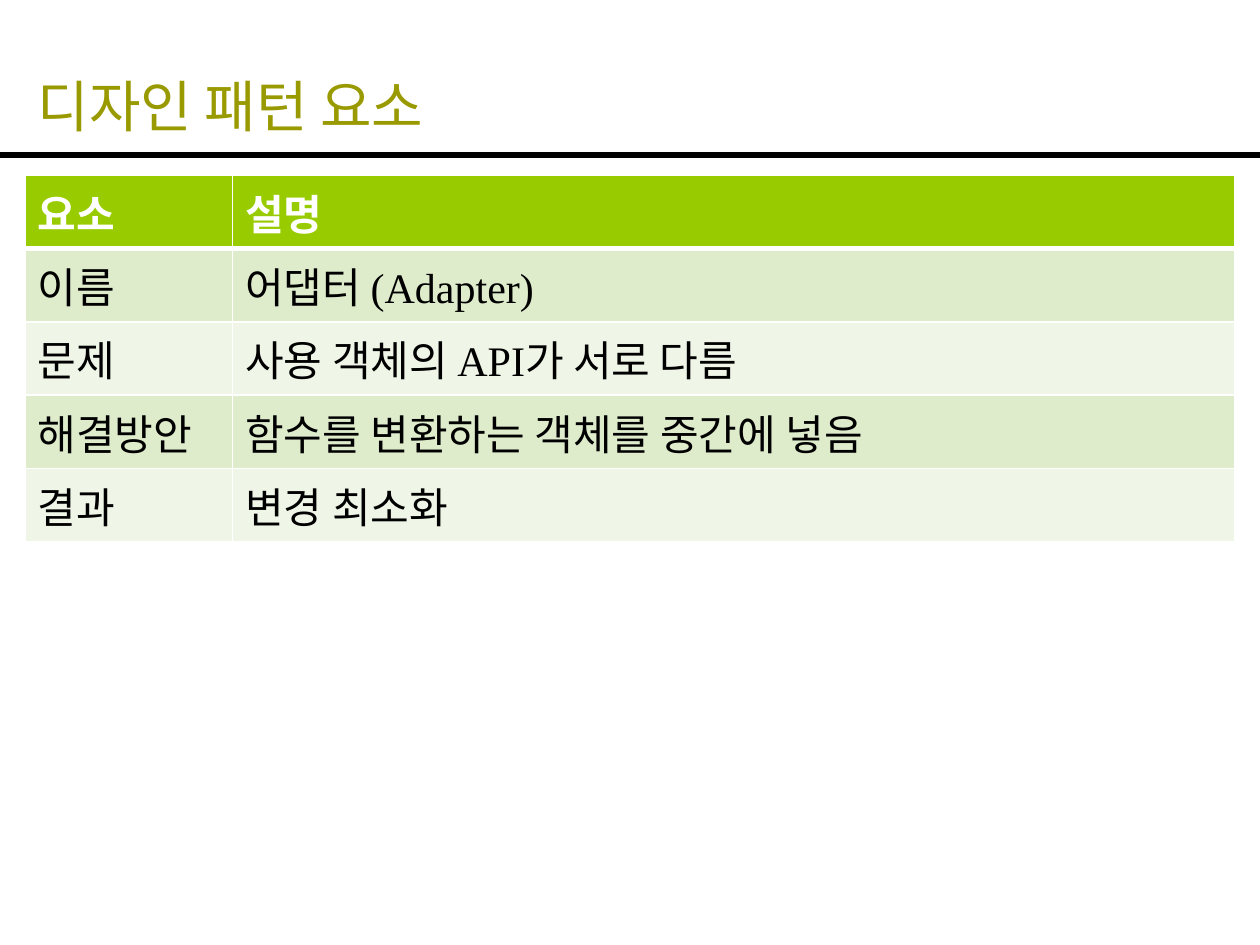
from typing import NamedTuple

from lxml.etree import SubElement
from pptx import Presentation
from pptx.dml.color import RGBColor
from pptx.enum.shapes import MSO_CONNECTOR as Connector
from pptx.enum.text import MSO_ANCHOR as Anchor
from pptx.oxml.ns import qn
from pptx.util import Pt

HANGUL_FONT = "Noto Sans CJK KR"
LATIN_FONT = "Times New Roman"
COLUMN_WIDTHS = (118.8, 572.4)
ROW_HEIGHT = 41.85
BAND_FILLS = ("EFF6E7", "DEECCC")


class Element(NamedTuple):
    label: str
    description: str


HEADER = Element("요소", "설명")
ELEMENTS = [
    Element("이름", "어댑터 (Adapter)"),
    Element("문제", "사용 객체의 API가 서로 다름"),
    Element("해결방안", "함수를 변환하는 객체를 중간에 넣음"),
    Element("결과", "변경 최소화"),
]


def color(code: str) -> RGBColor:
    return RGBColor.from_string(code)


def style_text(frame, size: float, code: str, latin: str, bold: bool = False) -> None:
    for run in frame.paragraphs[0].runs:
        run.font.size = Pt(size)
        run.font.bold = bold
        run.font.color.rgb = color(code)
        run.font.name = latin
        SubElement(run.font._element, qn("a:ea"), typeface=HANGUL_FONT)


def add_border(cell, side: str, width: float) -> None:
    """Add a white border; call in the order L, R, T, B and before filling."""
    line = SubElement(cell._tc.get_or_add_tcPr(), qn(f"a:ln{side}"), w=str(Pt(width)))
    SubElement(SubElement(line, qn("a:solidFill")), qn("a:srgbClr"), val="FFFFFF")


def add_title(slide, text: str) -> None:
    title = slide.shapes.add_textbox(Pt(14.4), Pt(21.6), Pt(692), Pt(61.2)).text_frame
    title.word_wrap = True
    title.vertical_anchor = Anchor.BOTTOM
    title.text = text
    style_text(title, 32, "999900", HANGUL_FONT)


def add_rule(slide, y: float) -> None:
    rule = slide.shapes.add_connector(Connector.STRAIGHT, Pt(0), Pt(y), Pt(720), Pt(y))
    rule.line.color.rgb = color("000000")
    rule.line.width = Pt(3)
    SubElement(rule._element.spPr, qn("a:effectLst"))


def add_element_table(slide, rows: list[Element]) -> None:
    frame = slide.shapes.add_table(
        len(rows), len(COLUMN_WIDTHS), Pt(14.2), Pt(100.3),
        Pt(sum(COLUMN_WIDTHS)), Pt(ROW_HEIGHT * len(rows)),
    )
    table = frame.table
    for column, width in zip(table.columns, COLUMN_WIDTHS):
        column.width = Pt(width)
    for row_index, element in enumerate(rows):
        is_header = row_index == 0
        for cell, text in zip(table.rows[row_index].cells, element):
            cell.text_frame.text = text
            style_text(cell.text_frame, 24, "FFFFFF" if is_header else "000000",
                       LATIN_FONT, bold=is_header)
            for side in "LRTB":
                thick = (is_header and side == "B") or (row_index == 1 and side == "T")
                add_border(cell, side, 3 if thick else 1)
            cell.fill.solid()
            cell.fill.fore_color.rgb = color(
                "99CC00" if is_header else BAND_FILLS[row_index % 2])


def main() -> None:
    deck = Presentation()
    deck.slide_width, deck.slide_height = Pt(720), Pt(540)
    slide = deck.slides.add_slide(deck.slide_layouts[6])
    add_rule(slide, 88.5)
    add_title(slide, "디자인 패턴 요소")
    add_element_table(slide, [HEADER, *ELEMENTS])
    deck.save("out.pptx")


if __name__ == "__main__":
    main()
